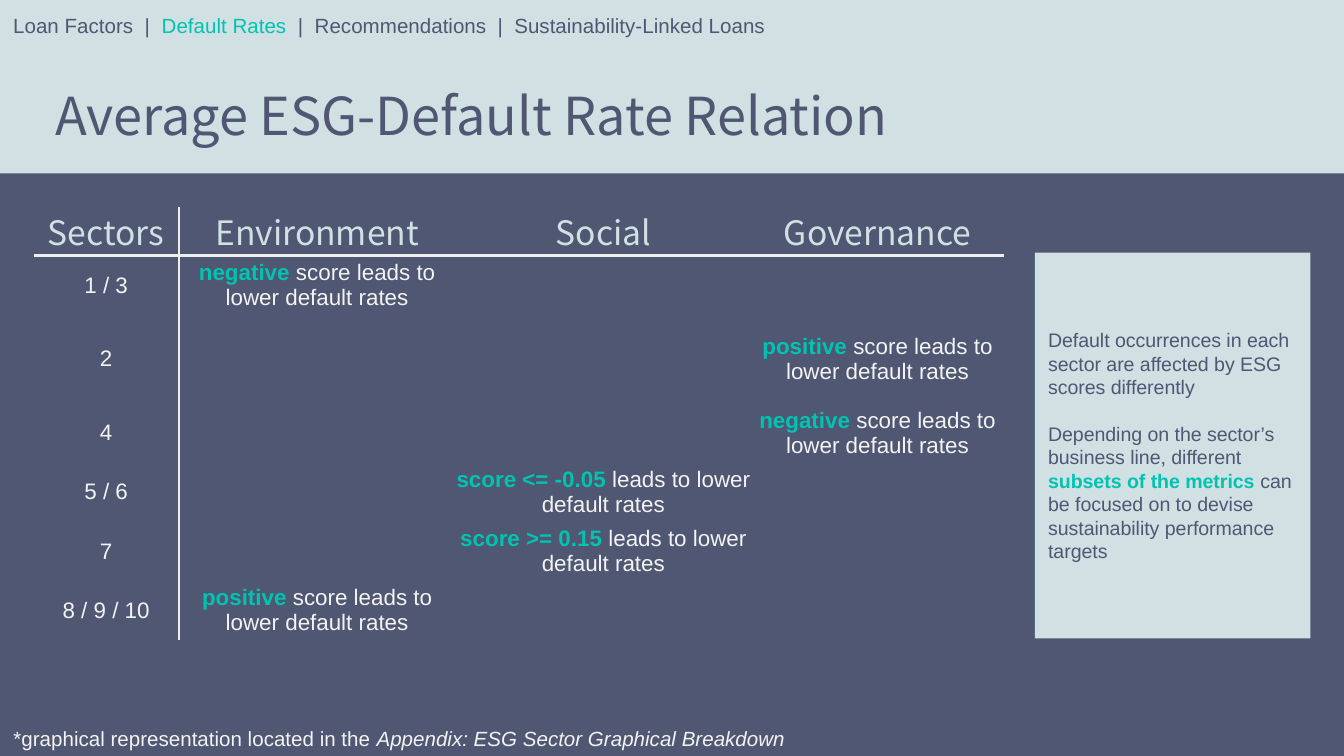
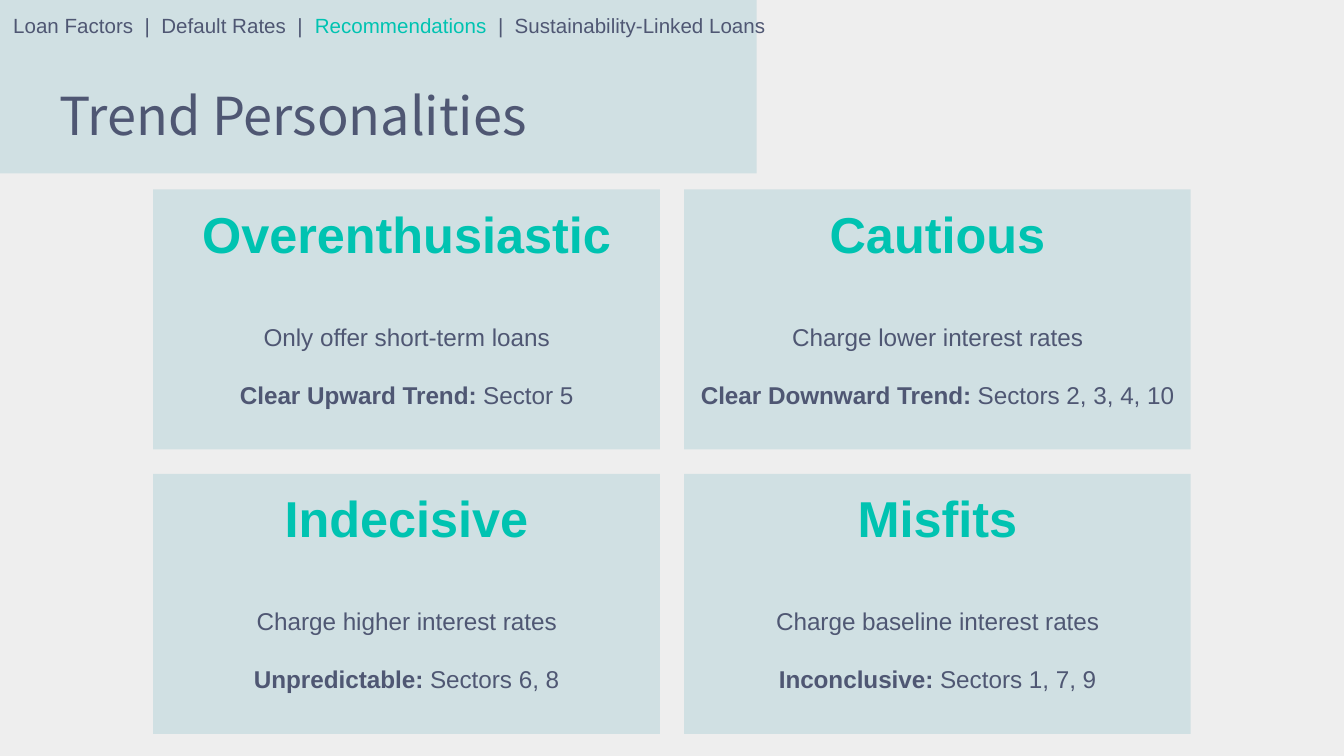
from dataclasses import dataclass
from itertools import product

from lxml import etree
from pptx import Presentation
from pptx import util as u
from pptx.dml.color import RGBColor
from pptx.enum import shapes, text
from pptx.oxml import ns

UNIT = u.Inches(0.1)
COLUMNS = 100
SLIDE_WIDTH = COLUMNS * UNIT
SLIDE_HEIGHT = SLIDE_WIDTH * 9 // 16
PLAIN_TABLE_STYLE = "{2D5ABB26-0587-4C30-8999-92F81FD0307C}"


@dataclass(frozen=True)
class Theme:
    """Colours, fonts and type sizes shared by the slides."""
    slate: str = "4F5773"
    mist: str = "D0E0E3"
    teal: str = "00C3B1"
    paper: str = "EEEEEE"
    chalk: str = "F3F3F3"
    display: str = "Noto Sans CJK KR"
    body: str = "Arial"
    title: float = 28
    card_heading: float = 27
    table_heading: float = 18
    card: float = 13
    table: float = 12
    small: float = 11
    panel: float = 10.5
    rule: float = 1.5


@dataclass(frozen=True)
class Box:
    """A rectangle measured in grid columns and rows."""
    left: float
    top: float
    width: float
    height: float

    def emu(self):
        """Return the rectangle as slide lengths."""
        return [round(side * UNIT) for side in (self.left, self.top, self.width, self.height)]

    def cell(self, column, row, columns, rows, gap_x, gap_y):
        """Return one cell of an even grid inside the rectangle."""
        width = (self.width - gap_x * (columns - 1)) / columns
        height = (self.height - gap_y * (rows - 1)) / rows
        return Box(self.left + column * (width + gap_x),
                   self.top + row * (height + gap_y), width, height)


THEME = Theme()
BAND_HEIGHT = 12.9
SECTIONS = ["Loan Factors", "Default Rates", "Recommendations", "Sustainability-Linked Loans"]


def accent(words):
    """Return a bold teal run."""
    return words, {"color": THEME.teal, "bold": True}


def write(frame, runs, size=THEME.small, color=THEME.slate, font=THEME.body, bold=False,
          align=text.PP_ALIGN.LEFT, before=0, new=False):
    """Write one paragraph of runs, each a string or a (string, format) pair."""
    paragraph = frame.add_paragraph() if new else frame.paragraphs[0]
    paragraph.alignment = align
    if before:
        paragraph.space_before = u.Pt(before)
    for part in runs:
        words, style = (part, {}) if isinstance(part, str) else part
        run = paragraph.add_run()
        run.text = words
        run.font.size = u.Pt(size)
        run.font.name = font
        run.font.bold = style.get("bold", bold)
        run.font.italic = style.get("italic", False)
        run.font.color.rgb = RGBColor.from_string(style.get("color", color))


def prepare(frame, inset=1, anchor=text.MSO_ANCHOR.TOP):
    """Set wrapping, margins and anchor of a text frame."""
    frame.word_wrap = True
    frame.auto_size = text.MSO_AUTO_SIZE.NONE
    frame.vertical_anchor = anchor
    frame.margin_left = frame.margin_right = frame.margin_top = frame.margin_bottom = inset * UNIT
    return frame


def add_text(slide, box, runs, inset=1, **style):
    """Add a text box with one paragraph."""
    write(prepare(slide.shapes.add_textbox(*box.emu()).text_frame, inset), runs, **style)


def add_block(slide, box, anchor=text.MSO_ANCHOR.TOP):
    """Add a flat mist rectangle and return its text frame."""
    block = slide.shapes.add_shape(shapes.MSO_SHAPE.RECTANGLE, *box.emu())
    block.shadow.inherit = False
    block.fill.solid()
    block.fill.fore_color.rgb = RGBColor.from_string(THEME.mist)
    block.line.fill.background()
    return prepare(block.text_frame, anchor=anchor)


def start_slide(deck, background, band_width, title, title_box, section):
    """Add a slide with its background, band, title and section trail."""
    slide = deck.slides.add_slide(deck.slide_layouts[5])
    slide.background.fill.solid()
    slide.background.fill.fore_color.rgb = RGBColor.from_string(background)
    heading = slide.shapes.title
    add_block(slide, Box(0, 0, band_width, BAND_HEIGHT))
    heading._element.getparent().append(heading._element)
    heading.left, heading.top, heading.width, heading.height = title_box.emu()
    write(prepare(heading.text_frame, anchor=text.MSO_ANCHOR.MIDDLE), [title],
          size=THEME.title, font=THEME.display)
    before, after = SECTIONS[:section], SECTIONS[section + 1:]
    add_text(slide, Box(0, 0, COLUMNS, 2.9),
             ["".join(f"{name}  |  " for name in before),
              (SECTIONS[section], {"color": THEME.teal}),
              "".join(f"  |  {name}" for name in after)])
    return slide


def rule_cell(cell, ruled):
    """Draw rules on the named sides of a table cell and clear the others."""
    properties = cell._tc.get_or_add_tcPr()
    for side in "LRTB":
        line = etree.SubElement(properties, ns.qn(f"a:ln{side}"), w=str(u.Pt(THEME.rule)))
        if side in ruled:
            fill = etree.SubElement(line, ns.qn("a:solidFill"))
            etree.SubElement(fill, ns.qn("a:srgbClr"), val=THEME.paper)
        else:
            etree.SubElement(line, ns.qn("a:noFill"))
    cell.fill.background()


def add_sector_table(slide, box, widths, heights, headings, findings):
    """Add the table of sectors against the three score types."""
    frame = slide.shapes.add_table(len(heights), len(widths), *box.emu())
    table = frame.table
    table.first_row = table.horz_banding = False
    next(frame._element.iter(ns.qn("a:tableStyleId"))).text = PLAIN_TABLE_STYLE
    for column, width in zip(table.columns, widths):
        column.width = round(width * UNIT)
    for row, height in zip(table.rows, heights):
        row.height = round(height * UNIT)
    for row, column in product(range(len(heights)), range(len(widths))):
        cell = table.cell(row, column)
        cell.margin_left = cell.margin_right = cell.margin_top = cell.margin_bottom = 0
        rule_cell(cell, {0: "R", 1: "L"}.get(column, "") + {0: "B", 1: "T"}.get(row, ""))
        if row == 0:
            write(cell.text_frame, [headings[column]], size=THEME.table_heading,
                  color=THEME.mist, font=THEME.display, align=text.PP_ALIGN.CENTER)
            continue
        sector, finding_column, *finding = findings[row - 1]
        runs = {0: [sector], finding_column: finding}.get(column)
        if runs:
            cell.vertical_anchor = text.MSO_ANCHOR.MIDDLE
            write(cell.text_frame, runs, size=THEME.table, color=THEME.chalk,
                  align=text.PP_ALIGN.CENTER)


def add_takeaways(slide, box, paragraphs):
    """Add the side panel of takeaways."""
    frame = add_block(slide, box, anchor=text.MSO_ANCHOR.MIDDLE)
    for index, runs in enumerate(paragraphs):
        write(frame, runs, size=THEME.panel, before=12.5 * index, new=index > 0)


def add_card(slide, box, personality, advice, trend, sectors):
    """Add a card for one trend personality."""
    frame = add_block(slide, box)
    centred = {"align": text.PP_ALIGN.CENTER}
    write(frame, [accent(personality)], size=THEME.card_heading, **centred)
    write(frame, [advice], size=THEME.card, before=31.5, new=True, **centred)
    write(frame, [(f"{trend}: ", {"bold": True}), sectors], size=THEME.card,
          before=15.5, new=True, **centred)


def build_default_rates(deck):
    """Build the slide relating scores to default rates."""
    slide = start_slide(deck, THEME.slate, COLUMNS, "Average ESG-Default Rate Relation",
                        Box(3.1, 5.9, 82.4, 5.2), section=1)
    leads = " score leads to lower default rates"
    lower = " leads to lower default rates"
    add_sector_table(
        slide, Box(2.5, 15.4, 72.2, 32.2),
        widths=[10.8, 20.6, 22, 18.8],
        heights=[3.5, 4.4, 6.6] + [4.4] * 4,
        headings=["Sectors", "Environment", "Social", "Governance"],
        findings=[
            ("1 / 3", 1, accent("negative"), leads),
            ("2", 3, accent("positive"), leads),
            ("4", 3, accent("negative"), leads),
            ("5 / 6", 2, accent("score <= -0.05"), lower),
            ("7", 2, accent("score >= 0.15"), lower),
            ("8 / 9 / 10", 1, accent("positive"), leads),
        ])
    add_takeaways(slide, Box(77, 18.8, 20.5, 28.7), [
        ["Default occurrences in each sector are affected by ESG scores differently"],
        ["Depending on the sector’s business line, different ",
         accent("subsets of the metrics"),
         " can be focused on to devise sustainability performance targets"],
    ])
    add_text(slide, Box(1, 54, 98.2, 1.9),
             ["*graphical representation located in the ",
              ("Appendix: ESG Sector Graphical Breakdown", {"italic": True})],
             inset=0, color=THEME.chalk)


def build_personalities(deck):
    """Build the slide of four trend personalities."""
    slide = start_slide(deck, THEME.paper, 56.3, "Trend Personalities",
                        Box(3.4, 5.9, 51.8, 5.2), section=2)
    cards = [
        ("Overenthusiastic", "Only offer short-term loans", "Clear Upward Trend", "Sector 5"),
        ("Cautious", "Charge lower interest rates", "Clear Downward Trend",
         "Sectors 2, 3, 4, 10"),
        ("Indecisive", "Charge higher interest rates", "Unpredictable", "Sectors 6, 8"),
        ("Misfits", "Charge baseline interest rates", "Inconclusive", "Sectors 1, 7, 9"),
    ]
    area = Box(11.4, 14.1, 77.2, 40.5)
    for index, card in enumerate(cards):
        row, column = divmod(index, 2)
        add_card(slide, area.cell(column, row, 2, 2, gap_x=1.8, gap_y=1.8), *card)


def main():
    """Build and save the deck."""
    deck = Presentation()
    deck.slide_width, deck.slide_height = SLIDE_WIDTH, SLIDE_HEIGHT
    build_default_rates(deck)
    build_personalities(deck)
    deck.save("out.pptx")


if __name__ == "__main__":
    main()
